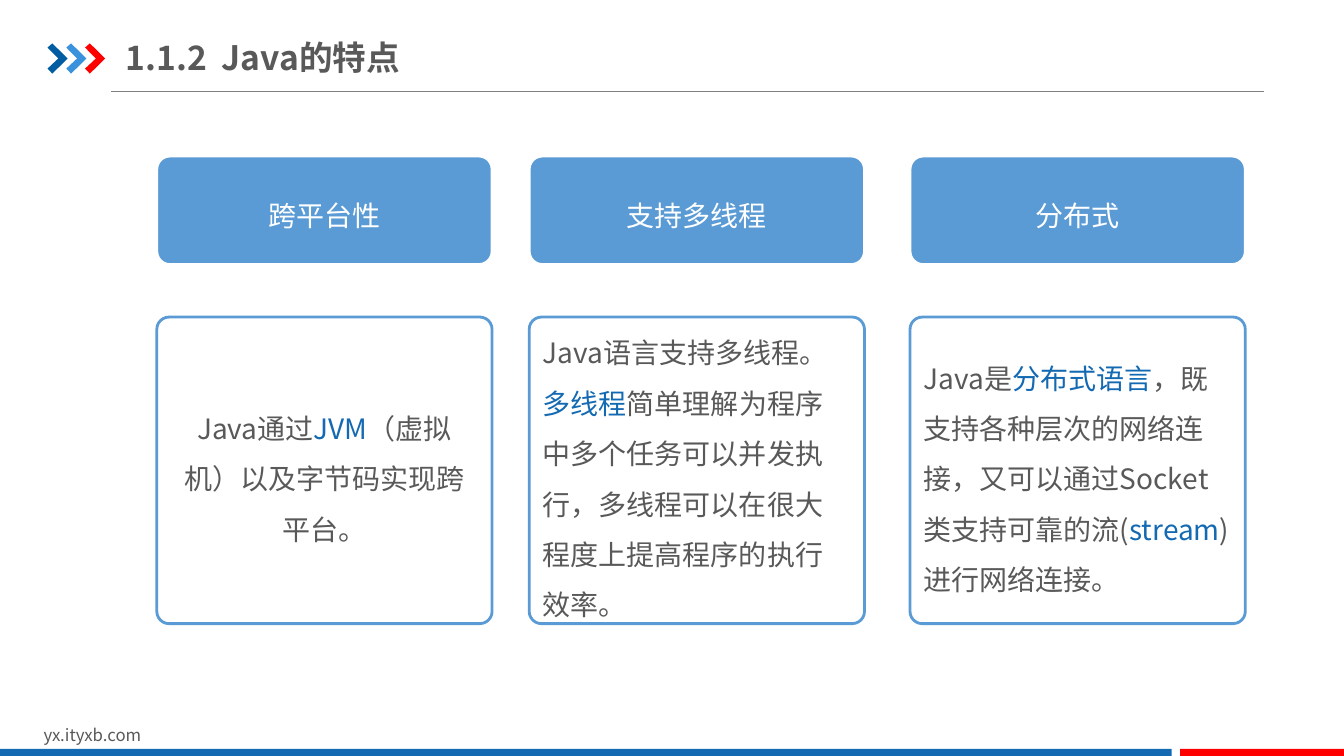
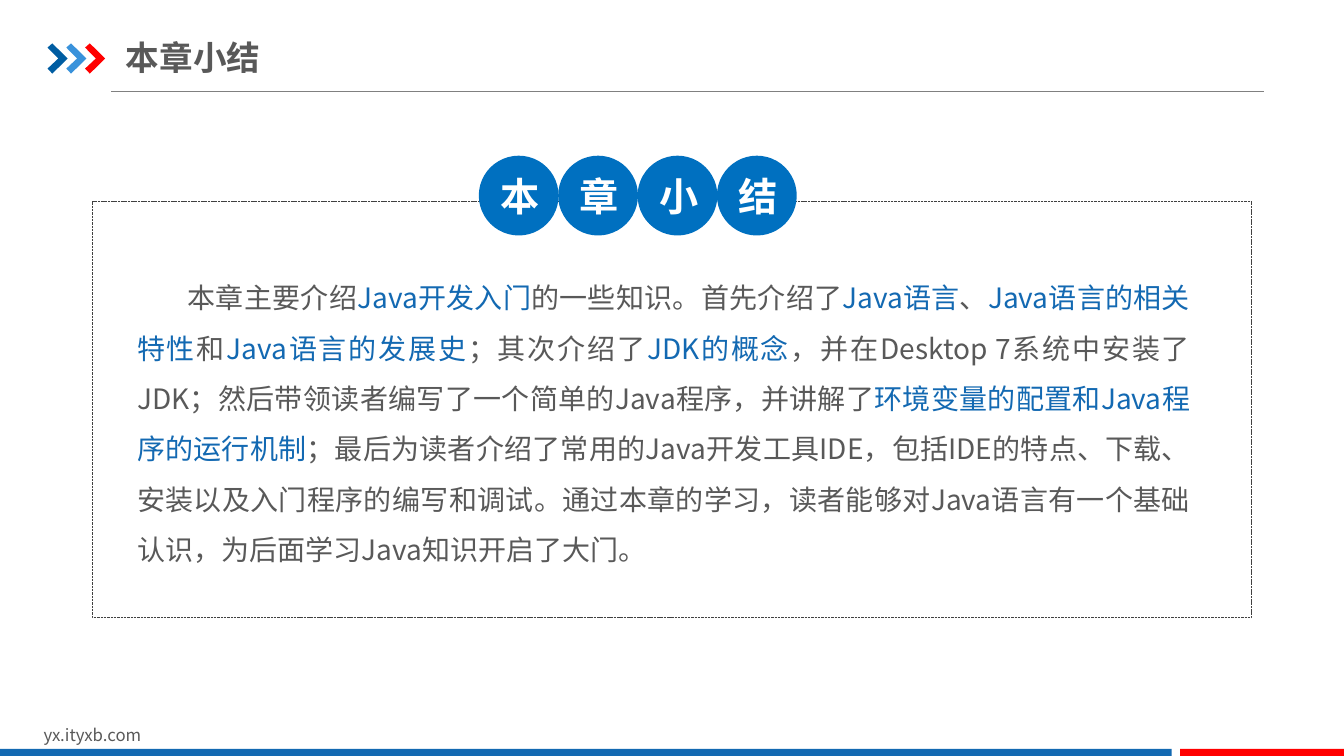
from pptx import Presentation
from pptx import util as u
from pptx.dml import color
from pptx.enum import dml, shapes, text
from pptx.oxml import ns
from lxml import etree

Pt = u.Pt

FEATURE_TITLE = "1.1.2\tJava的特点"
FEATURES = [
    ("跨平台性", "center", "Java通过*JVM*（虚拟机）以及字节码实现跨平台。"),
    ("支持多线程", "left",
     "Java语言支持多线程。*多线程*简单理解为程序中多个任务可以并发执行，"
     "多线程可以在很大程度上提高程序的执行效率。"),
    ("分布式", "left",
     "Java是*分布式语言*，既支持各种层次的网络连接，又可以通过Socket类支持可靠的流("
     "*stream*)进行网络连接。"),
]
SUMMARY_TITLE = "本章小结"
SUMMARY = (
    "本章主要介绍*Java开发入门*的一些知识。首先介绍了*Java语言*、*Java语言的相关特性*和"
    "*Java语言的发展史*；其次介绍了*JDK的概念*，并在Desktop 7系统中安装了JDK；"
    "然后带领读者编写了一个简单的Java程序，并讲解了*环境变量的配置和Java程序的运行机制*；"
    "最后为读者介绍了常用的Java开发工具IDE，包括IDE的特点、下载、安装以及入门程序的编写和调试。"
    "通过本章的学习，读者能够对Java语言有一个基础认识，为后面学习Java知识开启了大门。"
)
FOOTER = "yx.ityxb.com"

THEME = {
    "font": "Noto Sans CJK SC",
    "text": "595959", "accent": "1369B2", "white": "FFFFFF", "red": "FF0000",
    "rule": "808080", "card": "5B9BD5", "badge": "0070C0", "frame": "404040",
    "chevrons": ("005DA2", "3992DB", "FF0000"),
    "footer_size": 12, "body_size": 20, "title_size": 24, "badge_size": 28,
}
ALIGN = {"left": text.PP_ALIGN.LEFT, "center": text.PP_ALIGN.CENTER,
         "justify": text.PP_ALIGN.JUSTIFY}
KIND = shapes.MSO_SHAPE
CHEVRON = [(0, 3), (3.4, 0), (14.4, 10.8), (3.4, 21.6), (0, 18), (7.7, 10.8)]
COLUMN_LEFTS = (112, 378, 650)


def rgb(name):
    return color.RGBColor.from_string(THEME.get(name, name))


def pts(*values):
    return [Pt(v) for v in values]


def paint(sp, fill=None, line=None, width=1):
    sp.shadow.inherit = False
    if fill:
        sp.fill.solid()
        sp.fill.fore_color.rgb = rgb(fill)
    else:
        sp.fill.background()
    if line:
        sp.line.color.rgb = rgb(line)
        sp.line.width = Pt(width)
    else:
        sp.line.fill.background()


def add_box(s, kind, box, radius=None, **look):
    sp = s.shapes.add_shape(kind, *pts(*box))
    if radius is not None:
        sp.adjustments[0] = radius
    paint(sp, **look)
    return sp


def write(sp, content, size, base="text", bold=False, align="left", spacing=None,
          anchor=text.MSO_ANCHOR.MIDDLE, margins=(7.2, 3.6)):
    tf = sp.text_frame
    side, edge = pts(*margins)
    frame = {"word_wrap": True, "vertical_anchor": anchor, "margin_left": side,
             "margin_right": side, "margin_top": edge, "margin_bottom": edge}
    for key, value in frame.items():
        setattr(tf, key, value)
    p = tf.paragraphs[0]
    p.alignment = ALIGN[align]
    if spacing:
        p.line_spacing = spacing
    for i, part in enumerate(content.split("*")):
        r = p.add_run()
        r.text = part
        r.font.color.rgb = rgb("accent" if i % 2 else base)
        for key, value in {"size": Pt(size), "bold": bold, "name": THEME["font"]}.items():
            setattr(r.font, key, value)
        ea = etree.SubElement(r.font._element, ns.qn("a:ea"))
        ea.set("typeface", THEME["font"])
    return p


def add_text(s, box, content, size, **style):
    return write(s.shapes.add_textbox(*pts(*box)), content, size, **style)


def add_slide(prs, title):
    s = prs.slides.add_slide(prs.slide_layouts[6])
    rule = s.shapes.add_connector(shapes.MSO_CONNECTOR.STRAIGHT, *pts(79.5, 65.5, 903, 65.5))
    rule.line.color.rgb = rgb("rule")
    rule.line.width = Pt(0.75)
    etree.SubElement(rule._element.spPr, ns.qn("a:effectLst"))
    for i, fill in enumerate(THEME["chevrons"]):
        outline = [pts(34 + 13.4 * i + x, 31 + y) for x, y in CHEVRON]
        builder = s.shapes.build_freeform(*outline[0])
        builder.add_line_segments(outline[1:], close=True)
        paint(builder.convert_to_shape(), fill)
    add_text(s, (24, 514, 229, 22), FOOTER, THEME["footer_size"],
             anchor=text.MSO_ANCHOR.TOP)
    for left, width, fill in ((0, 837, "accent"), (843, 117, "red")):
        add_box(s, KIND.RECTANGLE, (left, 535, width, 5), fill=fill)
    p = add_text(s, (90, 21, 446, 40), title, THEME["title_size"], bold=True,
                 margins=(0, 5))
    tabs = etree.SubElement(p._p.get_or_add_pPr(), ns.qn("a:tabLst"))
    etree.SubElement(tabs, ns.qn("a:tab"), pos=str(Pt(68.5)), algn="l")
    return s


def build_features(prs):
    s = add_slide(prs, FEATURE_TITLE)
    size = THEME["body_size"]
    for left, (name, align, body) in zip(COLUMN_LEFTS, FEATURES):
        head = add_box(s, KIND.ROUNDED_RECTANGLE, (left, 111.5, 239.5, 77.5), 0.12,
                       fill="card", line="white", width=2)
        write(head, name, size, base="white", align="center", spacing=1.3)
        card = add_box(s, KIND.ROUNDED_RECTANGLE, (left, 226.5, 239.5, 219), 0.04,
                       fill="white", line="card", width=2)
        write(card, body, size, align=align, spacing=1.5)


def build_summary(prs):
    s = add_slide(prs, SUMMARY_TITLE)
    frame = add_box(s, KIND.RECTANGLE, (66, 143.5, 828, 297.5), line="frame", width=0.25)
    frame.line.dash_style = dml.MSO_LINE.SQUARE_DOT
    p = add_text(s, (88.5, 183.5, 771, 227.5), SUMMARY, THEME["body_size"],
                 align="justify", spacing=1.5, anchor=text.MSO_ANCHOR.TOP,
                 margins=(9.5, 5))
    p._p.get_or_add_pPr().set("indent", str(Pt(36)))
    diameter, step = 57, 56.7
    for i, letter in enumerate(SUMMARY_TITLE):
        badge = add_box(s, KIND.OVAL, (342 + step * i, 111.2, diameter, diameter),
                        fill="badge")
        write(badge, letter, THEME["badge_size"], base="white", bold=True, align="center")


def main():
    prs = Presentation()
    prs.slide_width, prs.slide_height = pts(960, 540)
    build_features(prs)
    build_summary(prs)
    prs.save("out.pptx")


if __name__ == "__main__":
    main()
